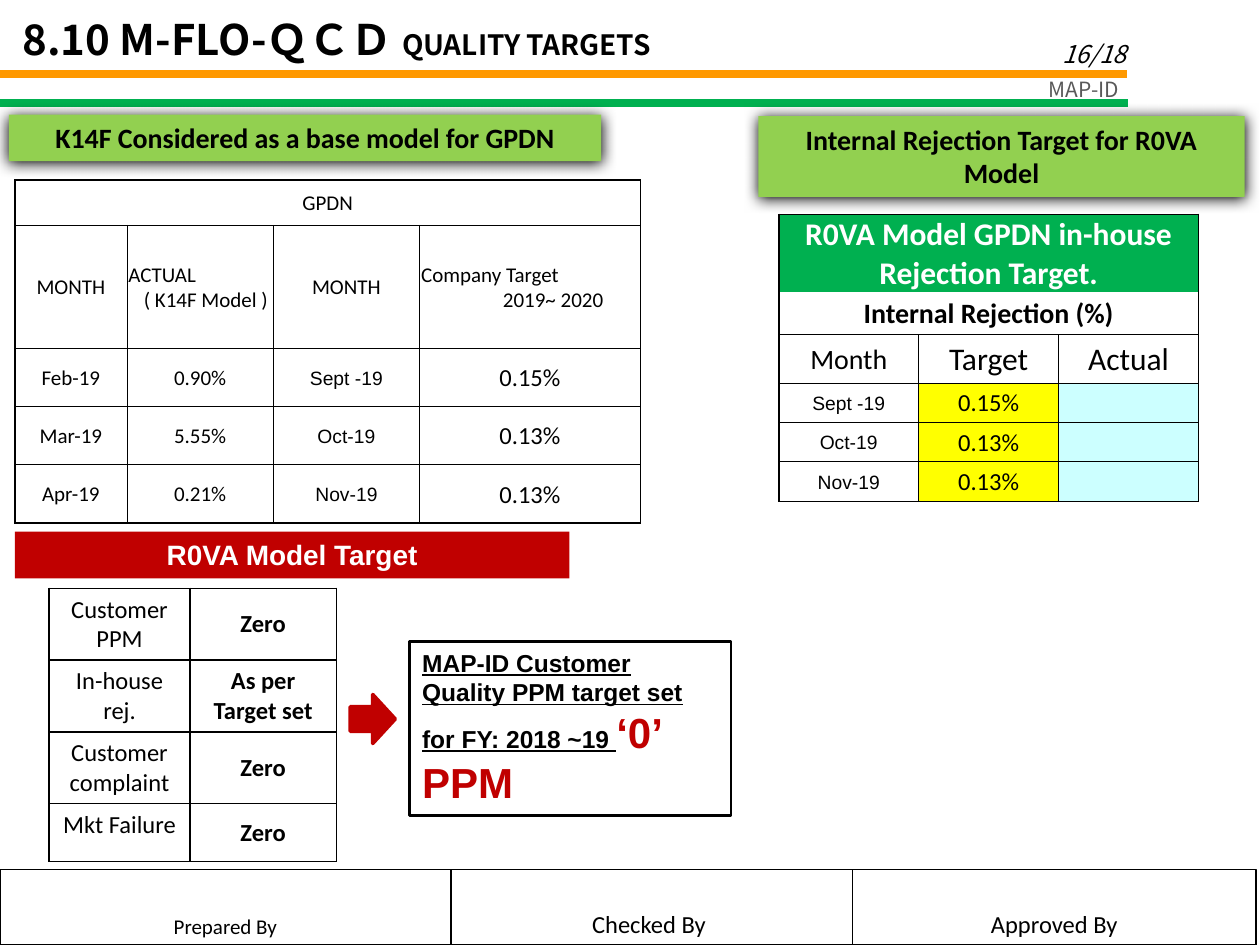
"""Build the quality targets slide with its tables, banners and sign-off row."""
from dataclasses import dataclass, replace
from typing import Optional

from lxml import etree
from pptx import Presentation
from pptx.dml.color import RGBColor
from pptx.enum.shapes import MSO_CONNECTOR, MSO_SHAPE
from pptx.enum.text import MSO_ANCHOR, MSO_AUTO_SIZE, PP_ALIGN
from pptx.oxml.ns import qn
from pptx.util import Cm, Pt

LEFT, CENTER, RIGHT = PP_ALIGN.LEFT, PP_ALIGN.CENTER, PP_ALIGN.RIGHT
TOP, MIDDLE, BOTTOM = MSO_ANCHOR.TOP, MSO_ANCHOR.MIDDLE, MSO_ANCHOR.BOTTOM
RECTANGLE, ARROW = MSO_SHAPE.RECTANGLE, MSO_SHAPE.RIGHT_ARROW
STRAIGHT, NO_AUTOFIT = MSO_CONNECTOR.STRAIGHT, MSO_AUTO_SIZE.NONE

BLACK = RGBColor(0x00, 0x00, 0x00)
WHITE = RGBColor(0xFF, 0xFF, 0xFF)
GRAY = RGBColor(0x59, 0x59, 0x59)
ORANGE = RGBColor(0xFF, 0x99, 0x00)
GREEN = RGBColor(0x00, 0xB0, 0x50)
LIME = RGBColor(0x92, 0xD0, 0x50)
RED = RGBColor(0xC0, 0x00, 0x00)
YELLOW = RGBColor(0xFF, 0xFF, 0x00)
CYAN = RGBColor(0xCC, 0xFF, 0xFF)
HEADING_FONT = "Noto Sans CJK JP"


@dataclass(frozen=True)
class Style:
    size: float = 12
    font: str = "Calibri"
    color: RGBColor = BLACK
    bold: bool = False
    italic: bool = False
    underline: bool = False
    align: PP_ALIGN = CENTER


@dataclass(frozen=True)
class Box:
    left: float
    top: float
    width: float
    height: float


@dataclass(frozen=True)
class Cell:
    text: str
    style: Style = Style()
    fill: Optional[RGBColor] = None
    anchor: MSO_ANCHOR = MIDDLE
    second_indent: Optional[float] = None


@dataclass(frozen=True)
class Grid:
    left: float
    top: float
    columns: tuple
    heights: tuple
    rows: list
    margins: tuple
    edges: dict
    inner: float = 0.5
    open_row: int = -1


NORMAL = Style()
MEDIUM = Style(14)
STRONG = Style(14, bold=True)
DATE = Style(11, "Arial")
BANNER = Style(16, bold=True)
HEADING = Style(24, HEADING_FONT, bold=True, align=LEFT)
NOTE = Style(14, "Arial", bold=True, underline=True, align=LEFT)


def style_run(run, style: Style) -> None:
    font = run.font
    font.size, font.name = Pt(style.size), style.font
    font.bold, font.italic, font.underline = style.bold, style.italic, style.underline
    font.color.rgb = style.color
    if style.font == HEADING_FONT:
        etree.SubElement(run._r.get_or_add_rPr(), qn("a:ea"), typeface=HEADING_FONT)


def write(frame, text: str, style: Style, anchor: MSO_ANCHOR = TOP) -> None:
    frame.text = text
    frame.word_wrap = True
    frame.vertical_anchor = anchor
    for para in frame.paragraphs:
        para.alignment = style.align
        for run in para.runs:
            style_run(run, style)


def add_span(frame, text: str, style: Style) -> None:
    span = frame.paragraphs[0].add_run()
    span.text = text
    style_run(span, style)


def place(box: Box) -> tuple:
    return Cm(box.left), Cm(box.top), Cm(box.width), Cm(box.height)


def add_label(page, box: Box, text: str, style: Style, anchor: MSO_ANCHOR = TOP) -> None:
    write(page.shapes.add_textbox(*place(box)).text_frame, text, style, anchor)


def add_block(page, box: Box, fill: Optional[RGBColor] = None, line: Optional[RGBColor] = None,
              weight: float = 1, kind: MSO_SHAPE = RECTANGLE):
    block = page.shapes.add_shape(kind, *place(box))
    block.shadow.inherit = False
    if fill is None:
        block.fill.background()
    else:
        block.fill.solid()
        block.fill.fore_color.rgb = fill
    if line is None:
        block.line.fill.background()
    else:
        block.line.color.rgb = line
        block.line.width = Pt(weight)
    return block


def add_banner(page, box: Box, text: str) -> None:
    banner = add_block(page, box, LIME)
    write(banner.text_frame, text, BANNER)
    effects = banner._element.spPr.find(qn("a:effectLst"))
    shadow = etree.SubElement(effects, qn("a:outerShdw"), blurRad=str(Pt(8.5)),
                              dist=str(Pt(1)), dir="5400000", rotWithShape="0")
    etree.SubElement(shadow, qn("a:srgbClr"), val=str(BLACK))


def add_rule(page, top: float, length: float, color: RGBColor) -> None:
    rule = page.shapes.add_connector(STRAIGHT, 0, Cm(top), Cm(length), Cm(top))
    rule.line.color.rgb = color
    rule.line.width = Pt(4.5)
    etree.SubElement(rule._element.spPr, qn("a:effectLst"))


def add_borders(cell, widths: dict) -> None:
    properties = cell._tc.get_or_add_tcPr()
    for side in "LRTB":
        border = etree.SubElement(properties, qn(f"a:ln{side}"), w=str(Pt(widths[side])))
        if widths[side]:
            fill = etree.SubElement(border, qn("a:solidFill"))
            etree.SubElement(fill, qn("a:srgbClr"), val=str(BLACK))
        else:
            etree.SubElement(border, qn("a:noFill"))


def add_grid(page, grid: Grid) -> None:
    last_row, last_column = len(grid.rows) - 1, len(grid.columns) - 1
    box = Box(grid.left, grid.top, sum(grid.columns), sum(grid.heights))
    table = page.shapes.add_table(last_row + 1, last_column + 1, *place(box)).table
    table.first_row = table.horz_banding = False
    for column, width in zip(table.columns, grid.columns):
        column.width = Cm(width)
    for row, height in zip(table.rows, grid.heights):
        row.height = Cm(height)
    for r, entries in enumerate(grid.rows):
        merged = len(entries) == 1
        if merged:
            table.cell(r, 0).merge(table.cell(r, last_column))
        for c, entry in enumerate(entries):
            cell = table.cell(r, c)
            cell.margin_left, cell.margin_top, cell.margin_right, cell.margin_bottom = map(Cm, grid.margins)
            write(cell.text_frame, entry.text, entry.style)
            cell.vertical_anchor = entry.anchor
            if entry.second_indent is not None:
                second = cell.text_frame.paragraphs[1]
                second._p.get_or_add_pPr().set("marL", str(Cm(entry.second_indent)))
            at_edge = {"L": c == 0, "R": merged or c == last_column, "T": r == 0, "B": r == last_row}
            widths = {side: grid.edges[side] if outer else grid.inner for side, outer in at_edge.items()}
            if r == grid.open_row:
                widths["B"] = 0
            if r == grid.open_row + 1 and r > 0:
                widths["T"] = 0
            add_borders(cell, widths)
            if entry.fill is None:
                cell.fill.background()
            else:
                cell.fill.solid()
                cell.fill.fore_color.rgb = entry.fill


def main() -> None:
    deck = Presentation()
    deck.slide_width, deck.slide_height = Cm(25.4), Cm(19.05)
    page = deck.slides.add_slide(deck.slide_layouts[5])

    add_label(page, Box(17.68, 0.23, 5.28, 1.27), "16/18",
              Style(14, HEADING_FONT, italic=True, align=RIGHT), BOTTOM)
    add_rule(page, 1.5, 22.71, ORANGE)
    add_rule(page, 2.08, 22.73, GREEN)
    add_label(page, Box(19, 1.42, 3.81, 0.76), "MAP-ID", Style(12, HEADING_FONT, GRAY, align=RIGHT))

    title = page.shapes.title
    title.left, title.top, title.width, title.height = place(Box(0.2, 0.15, 22.56, 1.27))
    write(title.text_frame, "8.10 M-FLO-ＱＣＤ ", HEADING)
    add_span(title.text_frame, "QUALITY TARGETS", replace(HEADING, size=16))
    title.text_frame.auto_size = NO_AUTOFIT

    goals = [("Customer PPM", "Zero"), ("In-house rej.", "As per Target set"),
             ("Customer complaint", "Zero"), ("Mkt Failure", "Zero")]
    add_grid(page, Grid(0.99, 11.86, (2.84, 2.95), (1.27, 1.27, 1.27, 1.17),
                        [[Cell(name, MEDIUM, anchor=TOP), Cell(goal, STRONG)] for name, goal in goals],
                        (0.25, 0.13, 0.25, 0.13), dict.fromkeys("LRTB", 1), inner=1))

    target_bar = add_block(page, Box(0.3, 10.72, 11.18, 0.94), RED)
    write(target_bar.text_frame, "R0VA Model Target", Style(16, "Arial", WHITE, bold=True))
    add_block(page, Box(7.06, 14, 0.91, 0.99), RED, RED, 2, ARROW)
    note = add_block(page, Box(8.26, 12.93, 6.48, 3.51), line=BLACK, weight=1.5)
    write(note.text_frame, "MAP-ID Customer Quality PPM target set for FY: 2018 ~19 ", NOTE)
    add_span(note.text_frame, "‘0’ PPM", replace(NOTE, size=24, color=RED, underline=False))

    tight = (0.03, 0.03, 0.03, 0)
    targets = [("Sept -19", "0.15%"), ("Oct-19", "0.13%"), ("Nov-19", "0.13%")]
    rejection_rows = [
        [Cell("R0VA Model GPDN in-house Rejection Target.", Style(18, color=WHITE, bold=True), GREEN)],
        [Cell("Internal Rejection (%)", BANNER)],
        [Cell("Month", Style(16)), Cell("Target", Style(18)), Cell("Actual", Style(18))],
    ] + [[Cell(month, DATE), Cell(rate, MEDIUM, YELLOW), Cell("", DATE, CYAN)] for month, rate in targets]
    add_grid(page, Grid(15.7, 4.32, (2.82,) * 3, (1.57, 0.86, 0.97, 0.79, 0.79, 0.81), rejection_rows,
                        tight, {"L": 1, "R": 1, "T": 1, "B": 0.5}, open_row=0))
    add_banner(page, Box(15.29, 2.34, 9.8, 1.63), "Internal Rejection Target for R0VA Model")

    actuals = [("Feb-19", "0.90%"), ("Mar-19", "5.55%"), ("Apr-19", "0.21%")]
    left_text = replace(NORMAL, align=LEFT)
    base_rows = [
        [Cell("GPDN")],
        [Cell("MONTH"), Cell("ACTUAL\n( K14F Model )", left_text, second_indent=0.31),
         Cell("MONTH"), Cell("Company Target\n2019~ 2020", left_text, second_indent=1.65)],
    ] + [[Cell(past), Cell(actual), Cell(month, DATE), Cell(rate, MEDIUM)]
         for (past, actual), (month, rate) in zip(actuals, targets)]
    add_grid(page, Grid(0.3, 3.63, (2.26, 2.95, 2.95, 4.45), (0.91, 2.49, 1.17, 1.17, 1.17), base_rows,
                        tight, dict.fromkeys("LRTB", 1)))
    add_banner(page, Box(0.18, 2.31, 11.94, 0.94), "K14F Considered as a base model for GPDN")

    left = 0.0
    for text, width, size in [("Prepared By", 9.09, 12), ("Checked By ", 8.1, 14), ("Approved By", 8.13, 14)]:
        sign_off = add_block(page, Box(left, 17.53, width, 1.52), line=BLACK, weight=0.75)
        write(sign_off.text_frame, text, Style(size), BOTTOM)
        left += width

    deck.save("out.pptx")


if __name__ == "__main__":
    main()
